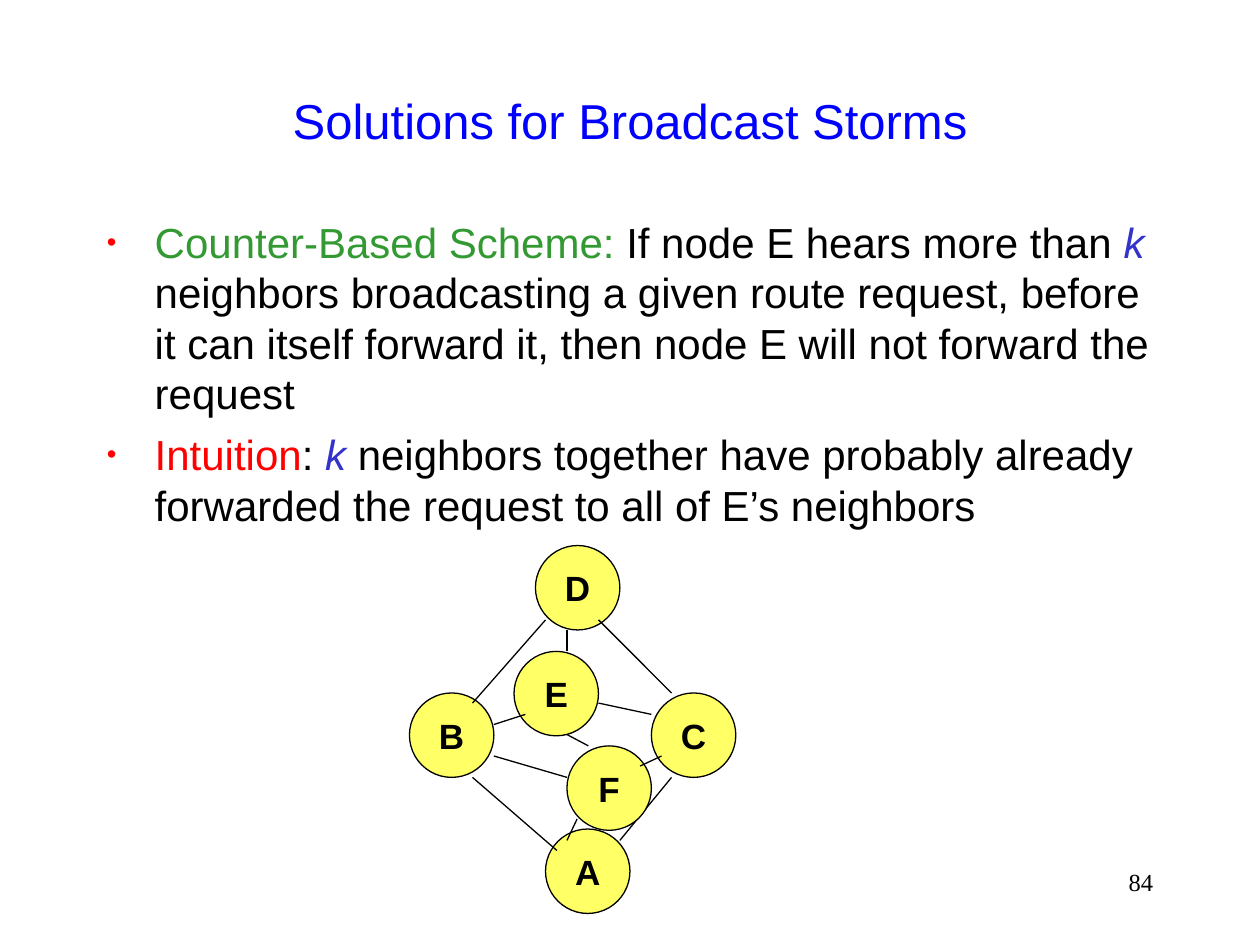
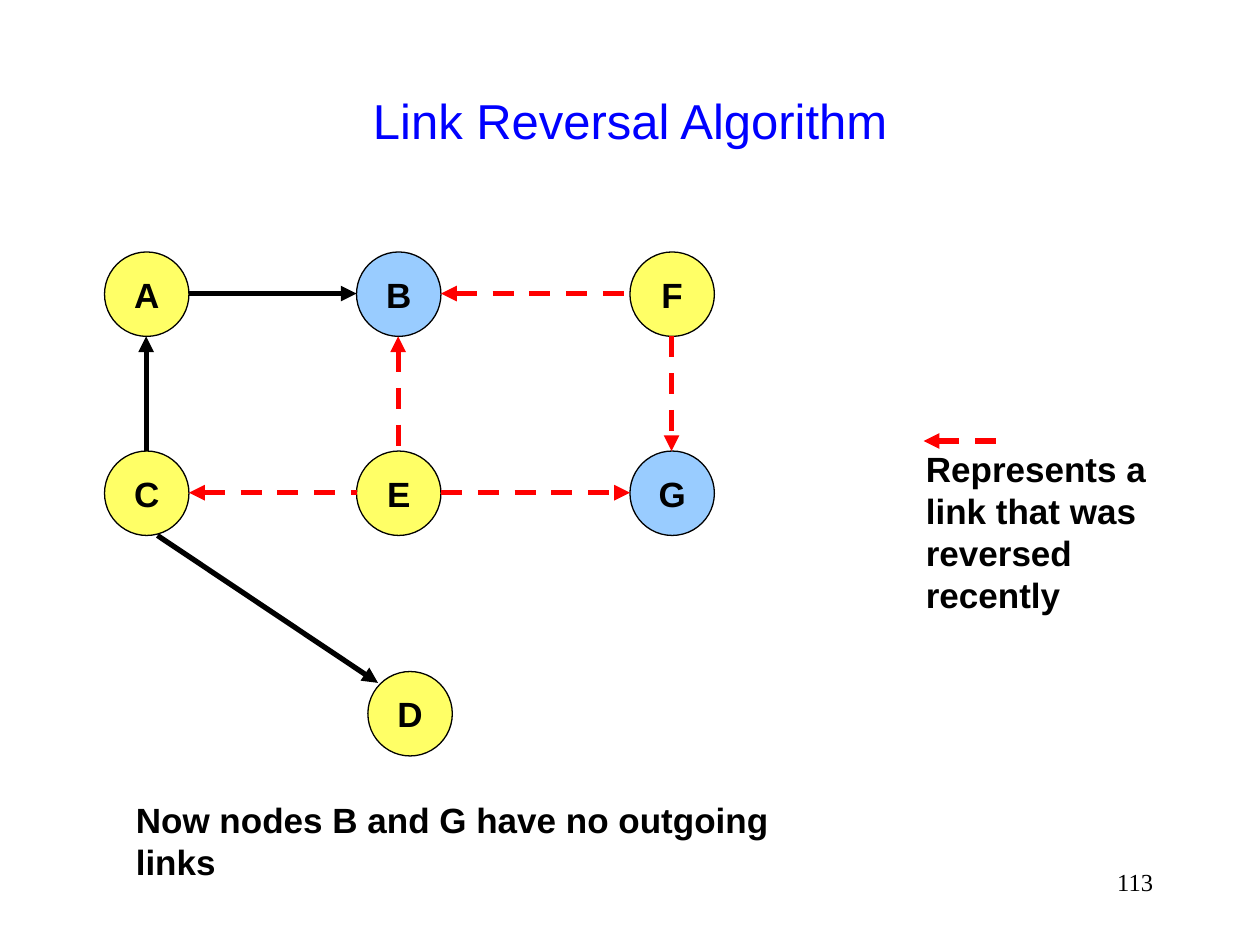
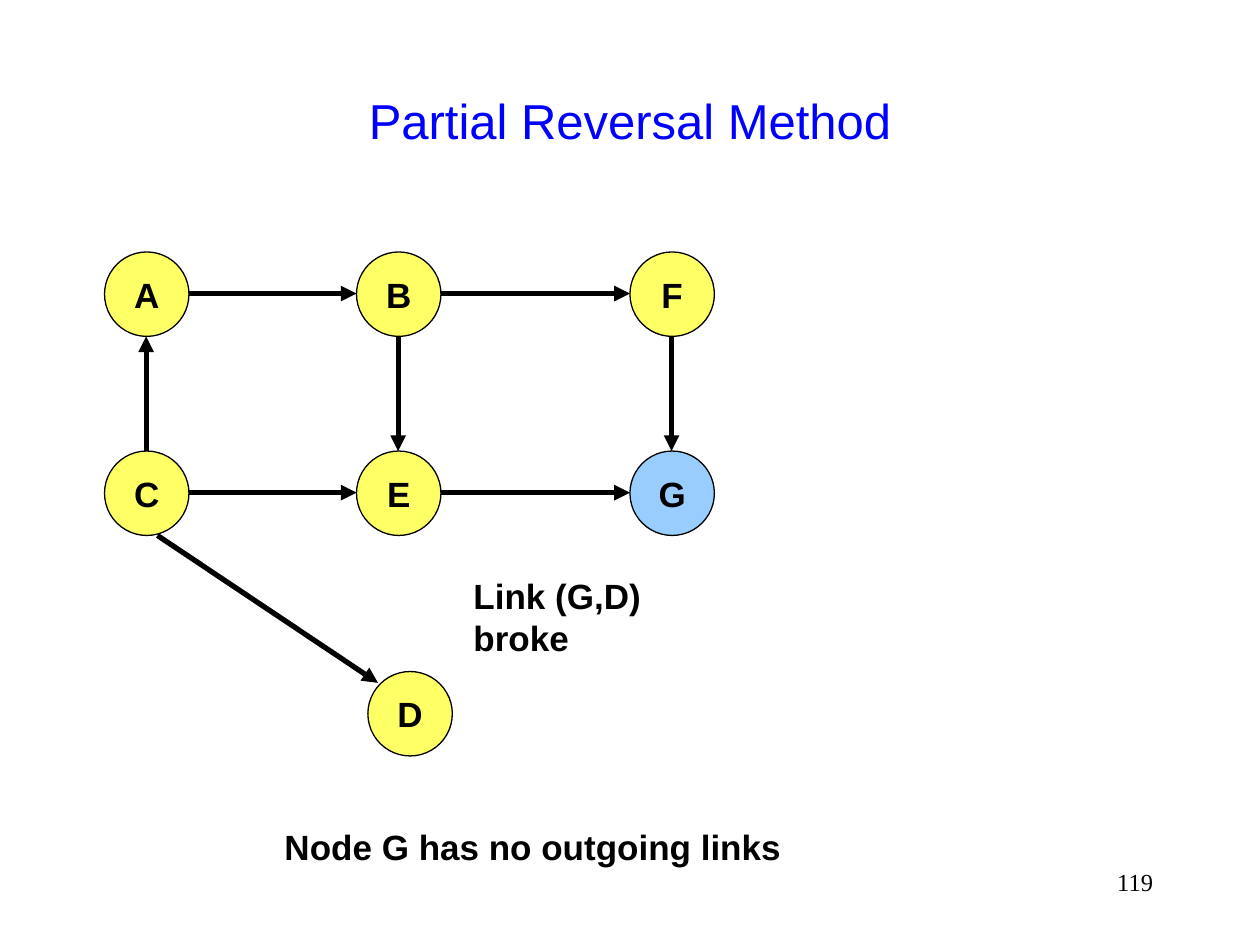
from dataclasses import dataclass

from lxml.etree import SubElement
from pptx import Presentation
from pptx.dml.color import RGBColor
from pptx.enum.dml import MSO_LINE_DASH_STYLE as Dash
from pptx.enum.shapes import MSO_CONNECTOR as Connector, MSO_SHAPE as Shape
from pptx.enum.text import MSO_ANCHOR as Anchor, MSO_AUTO_SIZE as AutoSize, PP_ALIGN as Align
from pptx.oxml.ns import qn
from pptx.util import Inches, Pt


@dataclass(frozen=True)
class Theme:
    black: str = "000000"
    red: str = "FF0000"
    title: str = "0000FF"
    scheme: str = "339933"
    variable: str = "3333CC"
    node: str = "FFFF66"
    sink: str = "99CCFF"
    font: str = "Arial"
    number_font: str = "Times New Roman"
    title_size: int = 28
    body_size: int = 24
    label_size: int = 20
    number_size: int = 14
    thin: float = 0.75
    thick: float = 3


THEME = Theme()
DIAMETER = 0.67
RADIUS = 0.33

OUTER_NODES = {"B": (3.25, 5.5), "D": (4.25, 4.33), "C": (5.17, 5.5), "A": (4.33, 6.58)}
INNER_NODES = {"F": (4.5, 5.92), "E": (4.08, 5.17)}
OUTER_EDGES = [
    ((4.33, 4.92), (3.75, 5.58)),
    ((3.75, 6.17), (4.42, 6.75)),
    ((5.33, 6.17), (4.92, 6.67)),
    ((4.75, 4.92), (5.33, 5.5)),
]
INNER_EDGES = [
    ((4.17, 5.67), (3.92, 5.75)),
    ((3.92, 6), (4.5, 6.17)),
    ((4.5, 5.83), (4.67, 5.92)),
    ((4.58, 6.5), (4.5, 6.67)),
    ((5.08, 6.08), (5.25, 6)),
    ((4.75, 5.58), (5.17, 5.67)),
    ((4.5, 5), (4.5, 5.17)),
]

COLUMNS = (0.83, 2.83, 5)
ROWS = (2, 3.58)
GRID = ("ABF", "CEG")
LINK_NODES = {
    name: (left, top)
    for top, names in zip(ROWS, GRID)
    for left, name in zip(COLUMNS, names)
} | {"D": (2.92, 5.33)}
GRID_LINKS = ("AC", "BE", "FG", "AB", "BF", "CE", "EG")


def color(value):
    return RGBColor.from_string(value)


def write_text(shape, paragraphs, *, size, font=THEME.font, fill=THEME.black, bold=False,
               align=Align.LEFT, anchor=Anchor.TOP, wrap=True, bullet=None, gap=0):
    """Fill a shape; a paragraph is a string or a list of (text, colour, italic) runs."""
    frame = shape.text_frame
    frame.word_wrap = wrap
    frame.vertical_anchor = anchor
    for index, content in enumerate(paragraphs):
        paragraph = frame.paragraphs[0] if index == 0 else frame.add_paragraph()
        paragraph.alignment = align
        if index and gap:
            paragraph.space_before = Pt(gap)
        if bullet:
            add_bullet(paragraph, bullet)
        runs = [(content, fill, False)] if isinstance(content, str) else content
        for text, run_color, italic in runs:
            run = paragraph.add_run()
            run.text = text
            run.font.name = font
            run.font.size = Pt(size)
            run.font.bold = bold
            run.font.italic = italic
            run.font.color.rgb = color(run_color)


def add_bullet(paragraph, bullet_color):
    properties = paragraph._p.get_or_add_pPr()
    properties.set("marL", str(Inches(0.38)))
    properties.set("indent", str(Inches(-0.38)))
    bullet_fill = SubElement(properties, qn("a:buClr"))
    SubElement(bullet_fill, qn("a:srgbClr"), val=bullet_color)
    SubElement(properties, qn("a:buSzPct"), val="65000")
    SubElement(properties, qn("a:buFont"), typeface=THEME.font)
    SubElement(properties, qn("a:buChar"), char="•")


def add_text(slide, left, top, width, height, paragraphs, **text_format):
    box = slide.shapes.add_textbox(Inches(left), Inches(top), Inches(width), Inches(height))
    write_text(box, paragraphs, **text_format)
    return box


def add_caption(slide, left, top, width, height, *lines):
    box = add_text(slide, left, top, width, height, lines, size=THEME.label_size,
                   bold=True, anchor=Anchor.MIDDLE, wrap=False)
    box.text_frame.auto_size = AutoSize.SHAPE_TO_FIT_TEXT


def add_node(slide, name, position, fill=THEME.node):
    left, top = position
    node = slide.shapes.add_shape(Shape.OVAL, Inches(left), Inches(top),
                                  Inches(DIAMETER), Inches(DIAMETER))
    node.shadow.inherit = False
    node.fill.solid()
    node.fill.fore_color.rgb = color(fill)
    node.line.color.rgb = color(THEME.black)
    node.line.width = Pt(THEME.thin)
    write_text(node, [name], size=THEME.label_size, bold=True, align=Align.CENTER,
               anchor=Anchor.MIDDLE, wrap=False)


def add_line(slide, start, end, *, width=THEME.thin, reversed_link=False, arrow=None):
    """Draw a line; arrow is "headEnd" (at start), "tailEnd" (at end) or None."""
    line = slide.shapes.add_connector(Connector.STRAIGHT, *map(Inches, (*start, *end)))
    line.line.width = Pt(width)
    line.line.color.rgb = color(THEME.red if reversed_link else THEME.black)
    if reversed_link:
        line.line.dash_style = Dash.DASH
    if arrow:
        SubElement(line.line._get_or_add_ln(), qn(f"a:{arrow}"), type="triangle")
    SubElement(line._element.spPr, qn("a:effectLst"))


def link_ends(first, second):
    """Facing edge points of two nodes in the same row or column."""
    (left, top), (next_left, next_top) = LINK_NODES[first], LINK_NODES[second]
    if top == next_top:
        return (left + DIAMETER, top + RADIUS), (next_left, top + RADIUS)
    return (left + RADIUS, top + DIAMETER), (left + RADIUS, next_top)


def add_link_graph(slide, sinks, backward, reversed_links=()):
    """Backward links point from the second node to the first."""
    for name, position in LINK_NODES.items():
        add_node(slide, name, position, THEME.sink if name in sinks else THEME.node)
    for link in GRID_LINKS:
        add_line(slide, *link_ends(*link), width=THEME.thick,
                 reversed_link=link in reversed_links,
                 arrow="headEnd" if link in backward else "tailEnd")
    add_line(slide, (1.25, 4.25), (3, 5.42), width=THEME.thick, arrow="tailEnd")


def add_slide(presentation, title, number):
    slide = presentation.slides.add_slide(presentation.slide_layouts[6])
    add_text(slide, 0.75, 0.33, 8.5, 1.25, [title], size=THEME.title_size,
             fill=THEME.title, align=Align.CENTER, anchor=Anchor.MIDDLE)
    add_text(slide, 7.17, 6.83, 2.08, 0.5, [str(number)], size=THEME.number_size,
             font=THEME.number_font, align=Align.RIGHT)
    return slide


def add_broadcast_slide(presentation):
    slide = add_slide(presentation, "Solutions for Broadcast Storms", 84)
    variable = ("k ", THEME.variable, True)
    add_text(slide, 0.75, 1.67, 8.5, 5, [
        [("Counter-Based Scheme:", THEME.scheme, False),
         (" If node E hears more than ", THEME.black, False),
         variable,
         ("neighbors broadcasting a given route request, before it can itself forward it, "
          "then node E will not forward the request", THEME.black, False)],
        [("Intuition", THEME.red, False),
         (": ", THEME.black, False),
         variable,
         ("neighbors together have probably already forwarded the request to all of "
          "E’s neighbors", THEME.black, False)],
    ], size=THEME.body_size, bullet=THEME.red, gap=6)
    for nodes, edges in ((OUTER_NODES, OUTER_EDGES), (INNER_NODES, INNER_EDGES)):
        for name, position in nodes.items():
            add_node(slide, name, position)
        for start, end in edges:
            add_line(slide, start, end)


def add_link_reversal_slide(presentation):
    slide = add_slide(presentation, "Link Reversal Algorithm", 113)
    add_link_graph(slide, sinks="BG", backward=("AC", "BE", "BF", "CE"),
                   reversed_links=("BE", "FG", "BF", "CE", "EG"))
    add_caption(slide, 0.98, 6.45, 5.93, 0.44, "Now nodes B and G have no outgoing links")
    add_line(slide, (7.33, 3.5), (8, 3.5), width=THEME.thick, reversed_link=True,
             arrow="headEnd")
    add_caption(slide, 7.25, 3.67, 2.5, 1.1,
                "Represents a", "link that was", "reversed recently")


def add_partial_reversal_slide(presentation):
    slide = add_slide(presentation, "Partial Reversal Method", 119)
    add_caption(slide, 3.66, 4.67, 2.36, 0.44, "Link (G,D) broke")
    add_link_graph(slide, sinks="G", backward=("AC",))
    add_caption(slide, 2.16, 6.5, 4.14, 0.44, "Node G has no outgoing links")


def main():
    presentation = Presentation()
    presentation.slide_width = Inches(10)
    presentation.slide_height = Inches(7.5)
    add_broadcast_slide(presentation)
    add_link_reversal_slide(presentation)
    add_partial_reversal_slide(presentation)
    presentation.save("out.pptx")


if __name__ == "__main__":
    main()
